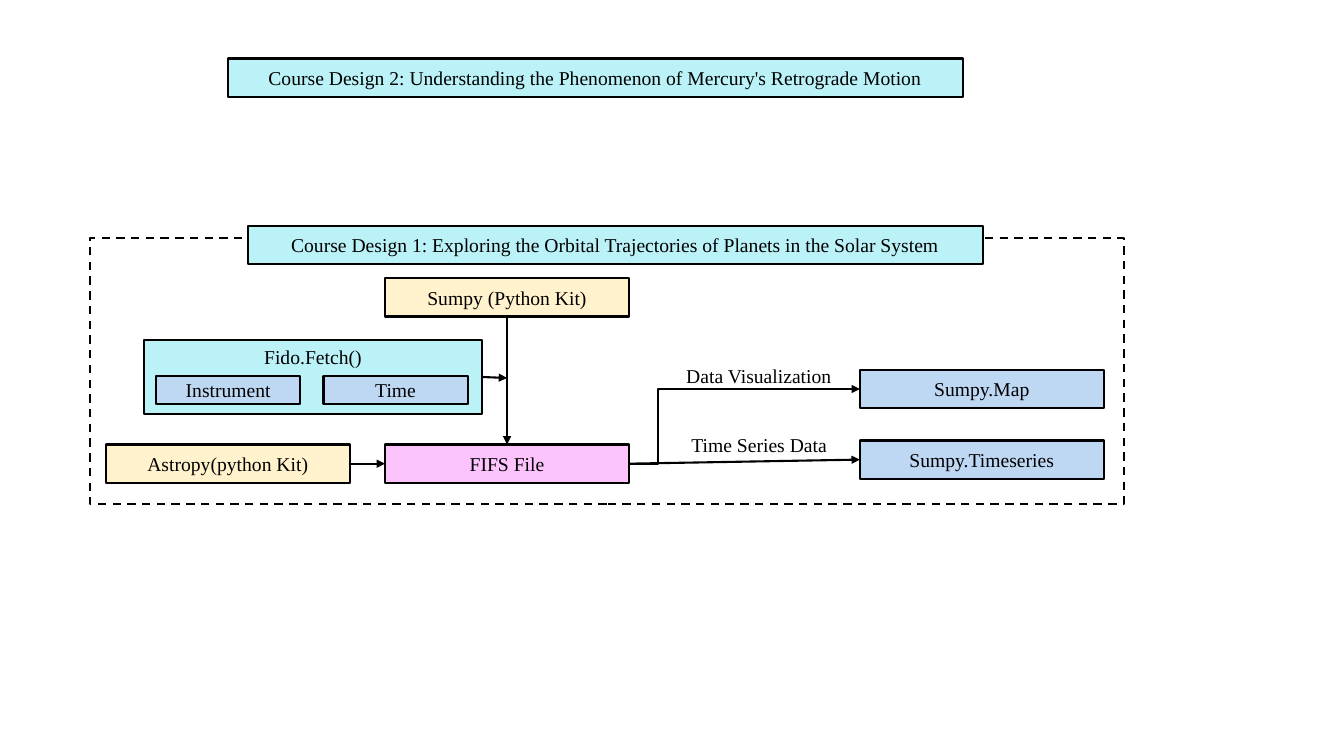
from dataclasses import dataclass

from lxml.etree import SubElement
from pptx import Presentation
from pptx.dml.color import RGBColor
from pptx.enum.dml import MSO_LINE
from pptx.enum.shapes import MSO_CONNECTOR as Connector, MSO_SHAPE as Shape
from pptx.enum.text import MSO_ANCHOR as Anchor, MSO_AUTO_SIZE as AutoSize, PP_ALIGN as Align
from pptx.oxml.ns import qn
from pptx.util import Inches, Pt

# Grid: ten columns and ten rows to the inch
CELL = Inches(0.1)
COLUMNS, ROWS = 133.33, 75

CYAN, CREAM, PINK, BLUE, BLACK = "BAF2F8", "FFF2CC", "FCC3FD", "BED7F3", "000000"
TITLE_WIDTH, NODE_WIDTH, FIELD_WIDTH = 72.9, 24.2, 14.3
NODE_HEIGHT, FIELD_HEIGHT, LABEL_HEIGHT = 3.8, 2.8, 3.4
TOP, LEFT, BOTTOM, RIGHT = range(4)  # connection sites of a rectangle


@dataclass
class Box:
    text: str
    column: float
    row: float
    fill: str | None
    width: float = NODE_WIDTH
    height: float = NODE_HEIGHT
    anchor: Anchor = Anchor.MIDDLE
    dashed: bool = False


@dataclass
class Label:
    text: str
    column: float
    row: float
    width: float


@dataclass
class Arrow:
    source: str
    source_site: int
    target: str
    target_site: int
    bend: float | None = None  # share of the width before the turn


FRAME = Box("", 8.9, 23.6, None, 102.6, 26.4, dashed=True)
TITLES = [
    Box("Course Design 1: Exploring the Orbital Trajectories of Planets in the Solar System",
        24.6, 22.4, CYAN, TITLE_WIDTH),
    Box("Course Design 2: Understanding the Phenomenon of Mercury's Retrograde Motion",
        22.6, 5.8, CYAN, TITLE_WIDTH),
]
NODES = [
    Box("Sumpy (Python Kit)", 38.2, 27.6, CREAM),
    Box("FIFS File", 38.2, 44.1, PINK),
    Box("Astropy(python Kit)", 10.5, 44.1, CREAM),
    Box("Fido.Fetch()", 14.3, 33.7, CYAN, 33.5, 7.4, Anchor.TOP),
    Box("Instrument", 15.5, 37.3, BLUE, FIELD_WIDTH, FIELD_HEIGHT),
    Box("Time", 32.1, 37.3, BLUE, FIELD_WIDTH, FIELD_HEIGHT),
    Box("Sumpy.Map", 85.3, 36.7, BLUE),
    Box("Sumpy.Timeseries", 85.3, 43.7, BLUE),
]
LABELS = [
    Label("Data Visualization", 67.1, 35.6, 16.6),
    Label("Time Series Data", 67.6, 42.5, 15.6),
]
ARROWS = [
    Arrow("Sumpy (Python Kit)", BOTTOM, "FIFS File", TOP),
    Arrow("Astropy(python Kit)", RIGHT, "FIFS File", LEFT),
    Arrow("FIFS File", RIGHT, "Sumpy.Timeseries", LEFT),
    Arrow("FIFS File", RIGHT, "Sumpy.Map", LEFT, bend=0.127),
]
FETCH_START, FETCH_END = (47.8, 37.4), (50.3, 37.5)


def cells(*lengths: float) -> list[int]:
    return [round(length * CELL) for length in lengths]


def color(value: str) -> RGBColor:
    return RGBColor.from_string(value)


def style_line(line) -> None:
    line.color.rgb = color(BLACK)
    line.width = Pt(1.5)


def write(shape, text: str, alignment: Align) -> None:
    paragraph = shape.text_frame.paragraphs[0]
    paragraph.text = text
    paragraph.alignment = alignment
    paragraph.font.name = "Times New Roman"
    paragraph.font.size = Pt(14)
    paragraph.font.color.rgb = color(BLACK)


def draw_box(slide, box: Box):
    shape = slide.shapes.add_shape(
        Shape.RECTANGLE, *cells(box.column, box.row, box.width, box.height))
    shape.shadow.inherit = False
    style_line(shape.line)
    if box.dashed:
        shape.line.dash_style = MSO_LINE.DASH
    if box.fill:
        shape.fill.solid()
        shape.fill.fore_color.rgb = color(box.fill)
    else:
        shape.fill.background()
    if box.text:
        shape.text_frame.vertical_anchor = box.anchor
        write(shape, box.text, Align.CENTER)
    return shape


def draw_label(slide, label: Label) -> None:
    shape = slide.shapes.add_textbox(
        *cells(label.column, label.row, label.width, LABEL_HEIGHT))
    shape.text_frame.word_wrap = False
    shape.text_frame.auto_size = AutoSize.SHAPE_TO_FIT_TEXT
    write(shape, label.text, Align.LEFT)


def add_arrow(slide, kind: Connector, start: tuple = (0, 0), end: tuple = (0, 0)):
    connector = slide.shapes.add_connector(kind, *cells(*start, *end))
    style_line(connector.line)
    properties = connector._element.spPr
    SubElement(properties.find(qn("a:ln")), qn("a:tailEnd"), type="triangle")
    SubElement(properties, qn("a:effectLst"))
    return connector


def draw_arrow(slide, arrow: Arrow, shapes: dict) -> None:
    kind = Connector.STRAIGHT if arrow.bend is None else Connector.ELBOW
    connector = add_arrow(slide, kind)
    connector.begin_connect(shapes[arrow.source], arrow.source_site)
    connector.end_connect(shapes[arrow.target], arrow.target_site)
    if arrow.bend is not None:
        adjustments = connector._element.spPr.find(qn("a:prstGeom")).find(qn("a:avLst"))
        SubElement(adjustments, qn("a:gd"), name="adj1",
                   fmla=f"val {round(arrow.bend * 100000)}")


def main() -> None:
    presentation = Presentation()
    presentation.slide_width, presentation.slide_height = cells(COLUMNS, ROWS)
    slide = presentation.slides.add_slide(presentation.slide_layouts[6])

    # Flow: nodes, arrows and their labels
    shapes = {node.text: draw_box(slide, node) for node in NODES}
    for arrow in ARROWS:
        draw_arrow(slide, arrow, shapes)
    add_arrow(slide, Connector.STRAIGHT, FETCH_START, FETCH_END)
    for label in LABELS:
        draw_label(slide, label)

    # Dashed frame with the course titles over it
    for box in [FRAME, *TITLES]:
        draw_box(slide, box)

    presentation.save("out.pptx")


if __name__ == "__main__":
    main()
